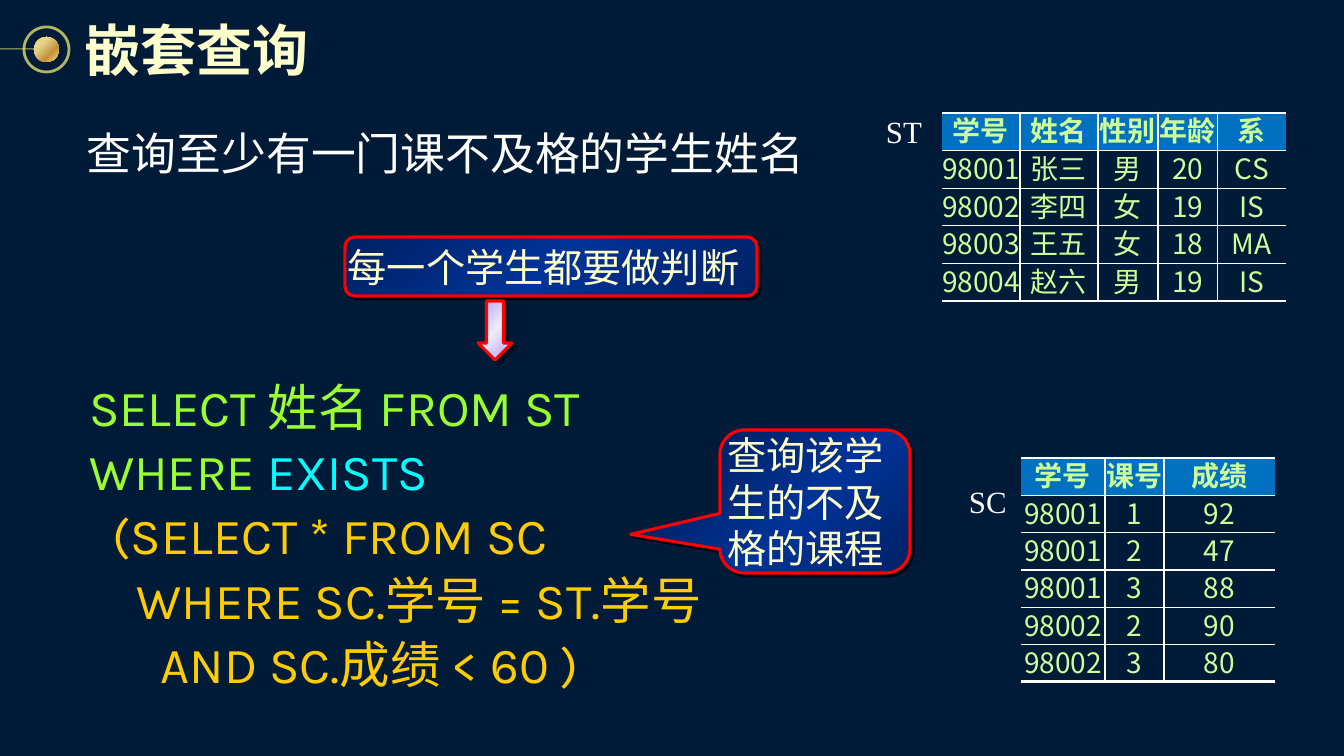
from lxml.etree import SubElement
from pptx import Presentation
from pptx.dml.color import RGBColor
from pptx.enum.shapes import MSO_CONNECTOR, MSO_SHAPE
from pptx.enum.text import MSO_ANCHOR, PP_ALIGN
from pptx.oxml.ns import qn
from pptx.util import Pt

EMU_PER_PX = 914400 / 100.8
CJK_FONT = "Noto Sans CJK SC"
WHITE, CREAM, RED, RING = "FFFFFF", "FFFFCC", "FF0000", "FCF873"
GREEN, CYAN, GOLD = "99FF33", "00FFFF", "FFCC00"
NAVY_STOPS = [(0, "002163"), (50, "003399"), (100, "002163")]
LILAC_STOPS = [(0, "B0A0F2"), (50, "EFECFC"), (100, "B0A0F2")]
ORB_STOPS = [(0, "FCD860"), (31, "E6D38F"), (68, "C69135"), (100, "F1DF97")]


def px(*lengths):
    return [round(length * EMU_PER_PX) for length in lengths]


def color(hex_string):
    return RGBColor.from_string(hex_string)


def add_color(parent, hex_string, opacity=100):
    element = SubElement(parent, qn("a:srgbClr"), val=hex_string)
    if opacity < 100:
        SubElement(element, qn("a:alpha"), val=str(opacity * 1000))


def add_shadow(effects, distance, opacity=100):
    shadow = SubElement(effects, qn("a:outerShdw"), dist=str(Pt(distance)),
                        dir="2700000", algn="ctr", rotWithShape="0")
    add_color(shadow, "000514", opacity)


def set_gradient(shape, stops):
    shape.fill.background()
    properties = shape._element.spPr
    gradient = SubElement(properties, qn("a:gradFill"), rotWithShape="1")
    stop_list = SubElement(gradient, qn("a:gsLst"))
    for position, hex_string in stops:
        stop = SubElement(stop_list, qn("a:gs"), pos=str(position * 1000))
        add_color(stop, hex_string)
    SubElement(gradient, qn("a:lin"), ang="2700000", scaled="1")
    properties.replace(properties.find(qn("a:noFill")), gradient)


def set_line(line, hex_string, width, opacity=100):
    line.width = Pt(width)
    line.color.rgb = color(hex_string)
    if opacity < 100:
        fill = line._ln.find(qn("a:solidFill"))
        fill.clear()
        add_color(fill, hex_string, opacity)


def add_run(paragraph, text, size, font, hex_string, bold=False):
    run = paragraph.add_run()
    run.text = text
    run.font.size = Pt(size)
    run.font.bold = bold
    run.font.name = font
    run.font.color.rgb = color(hex_string)
    SubElement(run._r.get_or_add_rPr(), qn("a:ea"), typeface=CJK_FONT)
    return run


def set_insets(frame, horizontal, vertical):
    frame.margin_left, frame.margin_right = px(horizontal, horizontal)
    frame.margin_top, frame.margin_bottom = px(vertical, vertical)


def add_text(slide, box, lines, size, font, insets=(10, 5), wrap=True, bold=False):
    frame = slide.shapes.add_textbox(*px(*box)).text_frame
    frame.word_wrap = wrap
    set_insets(frame, *insets)
    for index, runs in enumerate(lines):
        paragraph = frame.paragraphs[0] if index == 0 else frame.add_paragraph()
        for text, hex_string in runs:
            add_run(paragraph, text, size, font, hex_string, bold)
    return frame


def add_filled_shape(slide, kind, box, stops):
    shape = slide.shapes.add_shape(kind, *px(*box))
    shape.shadow.inherit = False
    set_gradient(shape, stops)
    return shape


def add_title(slide, box, text):
    left, top, width, height = box
    middle = top + height // 2
    ring = slide.shapes.add_shape(MSO_SHAPE.OVAL, *px(left + 24, middle - 22, 45, 45))
    ring.shadow.inherit = False
    ring.fill.background()
    set_line(ring.line, RING, 2, 70)
    stem = slide.shapes.add_connector(
        MSO_CONNECTOR.STRAIGHT, *px(left, middle, left + 34, middle))
    set_line(stem.line, RING, 0.75, 70)
    SubElement(stem._element.spPr, qn("a:effectLst"))
    orb = add_filled_shape(slide, MSO_SHAPE.OVAL, (left + 34, middle - 12, 25, 25), ORB_STOPS)
    orb.line.fill.background()
    frame = add_text(slide, (left + 77, top, width - 77, height),
                     [[(text, CREAM)]], 40, CJK_FONT, (8, 8), False, True)
    frame.vertical_anchor = MSO_ANCHOR.MIDDLE
    properties = frame.paragraphs[0].runs[0]._r.rPr
    effects = SubElement(properties, qn("a:effectLst"))
    properties.find(qn("a:solidFill")).addnext(effects)
    add_shadow(effects, 2.8)


def set_borders(cell, widths):
    properties = cell._tc.get_or_add_tcPr()
    for index, (side, width) in enumerate(zip("LRTB", widths)):
        border = SubElement(properties, qn("a:ln" + side), w=str(Pt(width)))
        if width:
            add_color(SubElement(border, qn("a:solidFill")), WHITE)
        else:
            SubElement(border, qn("a:noFill"))
        properties.insert(index, border)


def add_data_table(slide, box, label_box, label, widths, rows):
    left, top, width, height = box
    table = slide.shapes.add_table(len(rows), len(widths), *px(*box)).table
    table.first_row = table.horz_banding = False
    for column, column_width in zip(table.columns, widths):
        column.width = px(column_width)[0]
    last_row, last_column = len(rows) - 1, len(widths) - 1
    for row_index, values in enumerate(rows):
        table.rows[row_index].height = px(height / len(rows))[0]
        header = row_index == 0
        for column_index, value in enumerate(values):
            cell = table.cell(row_index, column_index)
            set_insets(cell, 0, 0)
            cell.vertical_anchor = MSO_ANCHOR.MIDDLE
            if header:
                cell.fill.solid()
                cell.fill.fore_color.rgb = color("0070C0")
            else:
                cell.fill.background()
            set_borders(cell, (int(column_index > 0), int(column_index < last_column),
                               2.25 if header else 1,
                               2.25 if row_index == last_row else 1))
            paragraph = cell.text_frame.paragraphs[0]
            paragraph.alignment = PP_ALIGN.CENTER
            paragraph.line_spacing = Pt(26)
            add_run(paragraph, value, 20, CJK_FONT, "CCFF99", header)
    add_text(slide, label_box, [[(label, WHITE)]], 22, "Times New Roman", (0, 0), False)


def add_code(slide, box, lines):
    frame = add_text(slide, box, lines, 36, "Karla")
    for paragraph in frame.paragraphs:
        paragraph.line_spacing = Pt(43)
        paragraph.space_after = Pt(3)


def add_callout(slide, kind, box, text, adjustments):
    shape = add_filled_shape(slide, kind, box, NAVY_STOPS)
    for index, value in enumerate(adjustments):
        shape.adjustments[index] = value
    set_line(shape.line, RED, 2.25)
    add_shadow(shape._element.spPr.find(qn("a:effectLst")), 2.8)
    frame = shape.text_frame
    frame.word_wrap = True
    frame.vertical_anchor = MSO_ANCHOR.MIDDLE
    set_insets(frame, 0, 4)
    paragraph = frame.paragraphs[0]
    paragraph.alignment = PP_ALIGN.LEFT
    paragraph.line_spacing = Pt(33.5)
    add_run(paragraph, text, 28, "Arial", CREAM)


def add_down_arrow(slide, box):
    arrow = add_filled_shape(slide, MSO_SHAPE.DOWN_ARROW, box, LILAC_STOPS)
    set_line(arrow.line, RED, 2.25)
    add_shadow(arrow._element.spPr.find(qn("a:effectLst")), 4.2, 50)


def main():
    presentation = Presentation()
    presentation.slide_width, presentation.slide_height = px(1344, 756)
    slide = presentation.slides.add_slide(presentation.slide_layouts[6])
    slide.background.fill.solid()
    slide.background.fill.fore_color.rgb = color("001B37")
    add_title(slide, (0, 7, 319, 84), "嵌套查询")
    add_text(slide, (77, 121, 842, 55), [[("查询至少有一门课不及格的学生姓名", WHITE)]],
             32, "Times New Roman")
    add_data_table(slide, (942, 113, 344, 188), (886, 113, 36, 37), "ST", (78, 78, 60, 60, 68), [
        ("学号", "姓名", "性别", "年龄", "系"),
        ("98001", "张三", "男", "20", "CS"),
        ("98002", "李四", "女", "19", "IS"),
        ("98003", "王五", "女", "18", "MA"),
        ("98004", "赵六", "男", "19", "IS")])
    add_data_table(slide, (1021, 458, 254, 224), (969, 483, 38, 37), "SC", (84, 59, 111), [
        ("学号", "课号", "成绩"),
        ("98001", "1", "92"),
        ("98001", "2", "47"),
        ("98001", "3", "88"),
        ("98002", "2", "90"),
        ("98002", "3", "80")])
    add_code(slide, (79, 371, 817, 184), [
        [("SELECT 姓名 FROM ST", GREEN)],
        [("WHERE ", GREEN), ("EXISTS", CYAN)],
        [("  ", GREEN), ("(SELECT * FROM SC", GOLD)],
        [("    WHERE SC.学号 = ST.学号", GOLD)],
        [("      AND SC.成绩 < 60 )", GOLD)]])
    add_callout(slide, MSO_SHAPE.ROUNDED_RECTANGLE, (345, 237, 412, 59),
                "每一个学生都要做判断", ())
    add_down_arrow(slide, (478, 301, 34, 59))
    add_callout(slide, MSO_SHAPE.ROUNDED_RECTANGULAR_CALLOUT, (720, 430, 190, 143),
                "查询该学生的不及格的课程", (-0.97, 0.23, 0.17))
    presentation.save("out.pptx")


if __name__ == "__main__":
    main()
